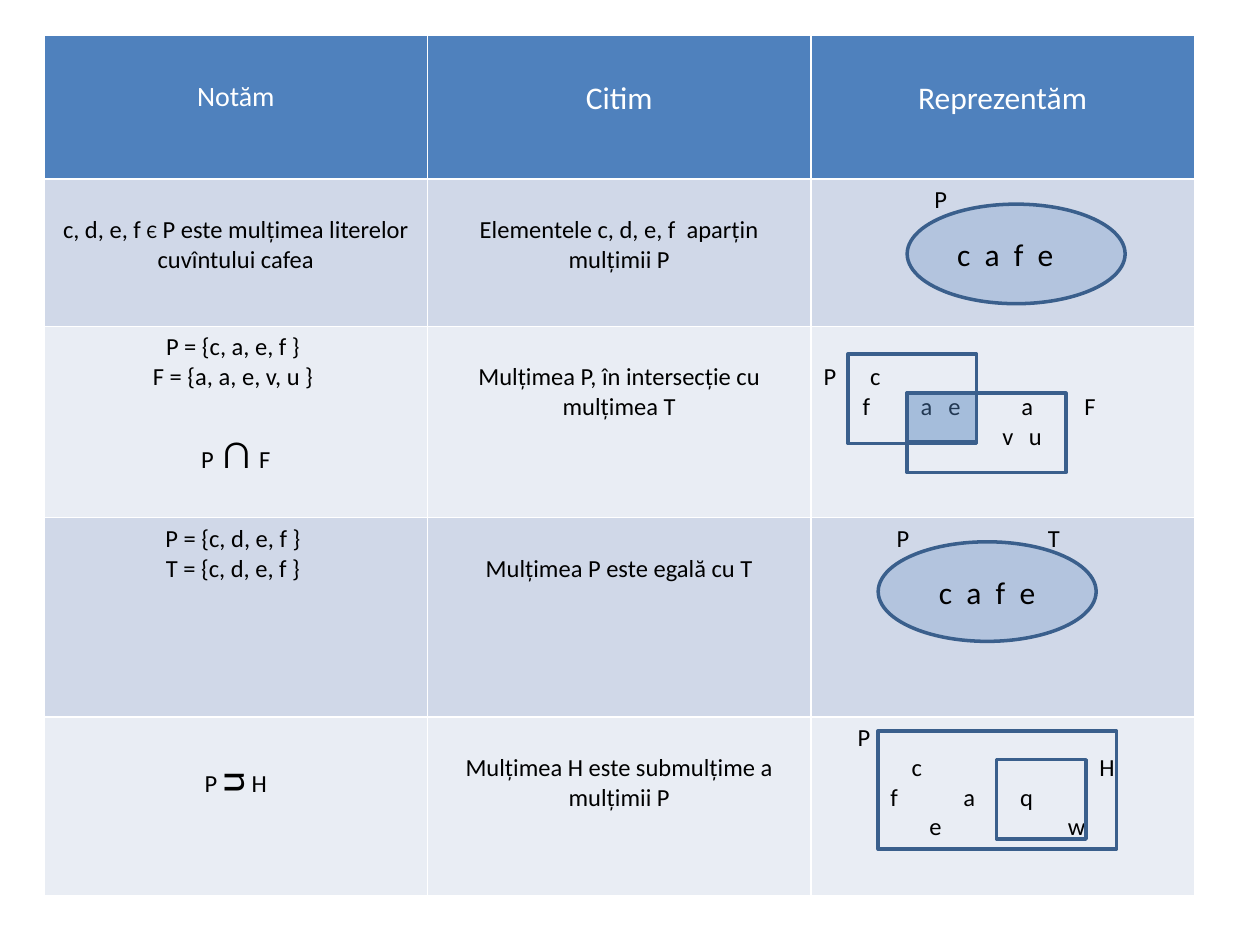
"""Build a slide with a table of set notation and small set diagrams."""
from dataclasses import dataclass
from itertools import groupby

from lxml.etree import SubElement as Sub
from pptx import Presentation
from pptx.dml.color import RGBColor as Rgb
from pptx.enum.shapes import MSO_SHAPE as Form
from pptx.enum.text import MSO_ANCHOR as Anchor, PP_ALIGN as Align
from pptx.oxml.ns import qn
from pptx.util import Inches, Pt


@dataclass
class Theme:
    """Colours, font and type sizes."""
    font: str = "Calibri"
    blue: str = "4F81BD"
    edge: str = "3A5F8C"
    white: str = "FFFFFF"
    black: str = "000000"
    bands: tuple = ("D0D8E8", "E9EDF4")
    body: int = 14
    small: int = 16
    large: int = 18
    line: float = 1.22


SIGNS = {"Є": 11, "∩": 28, "ᴝ": 24}


class Board:
    """Draws on one slide using a grid of 100 columns and 75 rows."""

    def __init__(self, deck, theme):
        """Add a blank slide."""
        self.theme = theme
        self.slide = deck.slides.add_slide(deck.slide_layouts[6])
        self.unit = deck.slide_width / 100

    def size(self, *cells):
        """Turn grid cells into lengths."""
        return [round(cell * self.unit) for cell in cells]

    def label(self, para, text, size, tint, align=Align.CENTER):
        """Fill a paragraph, giving each sign its own size."""
        para.alignment = align
        for points, part in groupby(text, lambda sign: SIGNS.get(sign, size)):
            run = para.add_run()
            run.text = "".join(part)
            font = run.font
            font.name, font.size, font.bold = self.theme.font, Pt(points), False
            font.color.rgb = Rgb.from_string(tint)

    def spread(self, para, marks):
        """Set letters at tab stops."""
        text = "".join(("\t" if stop else "") + mark for stop, mark in marks)
        self.label(para, text, self.theme.body, self.theme.black, Align.LEFT)
        stops = Sub(para._p.get_or_add_pPr(), qn("a:tabLst"))
        for stop in (stop for stop, _ in marks if stop):
            Sub(stops, qn("a:tab"), pos=str(self.size(stop)[0]), algn="l")

    def table(self, left, top, wide, highs):
        """Add a table with three equal columns."""
        area = self.size(left, top, 3 * wide, sum(highs))
        grid = self.slide.shapes.add_table(len(highs), 3, *area).table
        for col in grid.columns:
            col.width = self.size(wide)[0]
        for row, high in zip(grid.rows, highs):
            row.height = self.size(high)[0]
        return grid

    def cell(self, cell, fill, lines, lead=0, size=None, tint=None, gap=0):
        """Fill a cell with lines of text or of placed letters."""
        theme = self.theme
        cell.fill.solid()
        cell.fill.fore_color.rgb = Rgb.from_string(fill)
        step = theme.line * (theme.large if tint else theme.body)
        cell.margin_top = Inches(0.05) + Pt(lead * step)
        for spot, line in enumerate(lines):
            frame = cell.text_frame
            para = frame.add_paragraph() if spot else frame.paragraphs[0]
            if isinstance(line, str):
                self.label(para, line, size or theme.body, tint or theme.black)
            else:
                self.spread(para, line)
        if gap:
            para.space_before = Pt(gap * step)

    def shape(self, form, area, alpha=0, text="", shift=0):
        """Add an outlined shape, clear or tinted."""
        theme = self.theme
        shape = self.slide.shapes.add_shape(form, *self.size(*area))
        shape.shadow.inherit = False
        shape.line.color.rgb = Rgb.from_string(theme.edge)
        shape.line.width = Pt(2)
        if alpha:
            shape.fill.solid()
            shape.fill.fore_color.rgb = Rgb.from_string(theme.blue)
            tone = shape.fill._xPr.find(qn("a:solidFill")).find(qn("a:srgbClr"))
            Sub(tone, qn("a:alpha"), val=str(alpha * 1000))
        else:
            shape.fill.background()
        if text:
            frame = shape.text_frame
            frame.vertical_anchor = Anchor.MIDDLE
            frame.margin_right = Inches(0.1) + self.size(shift)[0]
            self.label(frame.paragraphs[0], text, theme.large, theme.black)


HEADS = ("Notăm", "Citim", "Reprezentăm")
ROWS = [
    (dict(lines=["c, d, e, f Є P este mulțimea literelor cuvîntului cafea"], lead=1),
     "Elementele c, d, e, f  aparțin mulțimii P",
     dict(lines=[[(8.8, "P")]])),
    (dict(lines=["P = {c, a, e, f } ", "F = {a, a, e, v, u } ", "P ∩ F"], gap=1),
     "Mulțimea P, în intersecție cu mulțimea T",
     dict(lead=1, lines=[
         [(0, "P"), (3.7, "c")],
         [(3.1, "f"), (7.7, "a"), (9.9, "e"), (15.7, "a"), (20.7, "F")],
         [(14.2, "v"), (16.3, "u")]])),
    (dict(lines=["P = {c, d, e, f } ", "T = {c, d, e, f } "]),
     "Mulțimea P este egală cu T",
     dict(lines=[[(5.8, "P"), (17.8, "T")]])),
    (dict(lines=["P ᴝ H"], lead=1),
     "Mulțimea H este submulțime a mulțimii P",
     dict(lines=[
         [(2.7, "P")],
         [(7, "c"), (21.9, "H")],
         [(5.3, "f"), (11.1, "a"), (15.6, "q")],
         [(8.4, "e"), (19.4, "w")]])),
]
SHAPES = [
    (Form.RECTANGLE, (67.3, 28.1, 10.2, 7.1)),
    (Form.RECTANGLE, (72, 31.2, 12.6, 6.3)),
    (Form.RECTANGLE, (72, 31.2, 5.5, 3.9), 44),
    (Form.OVAL, (72, 16.2, 17.3, 7.9), 22, "c  a  f  e", 1.7),
    (Form.OVAL, (69.7, 43, 17.3, 7.9), 22, "c  a  f  e"),
    (Form.RECTANGLE, (69.7, 58, 18.9, 9.4)),
    (Form.RECTANGLE, (79.1, 60.3, 7.1, 6.3)),
]

deck = Presentation()
deck.slide_width, deck.slide_height = Inches(10), Inches(7.5)
theme = Theme()
board = Board(deck, theme)
grid = board.table(3.5, 2.8, 30.43, (11.4, 11.7, 15.2, 15.8, 14.2))

for col, head in enumerate(HEADS):
    size = theme.large if col else theme.small
    board.cell(grid.cell(0, col), theme.blue, [head], 1, size, theme.white)
for row, (note, read, draw) in enumerate(ROWS):
    for col, part in enumerate((note, dict(lines=[read], lead=1), draw)):
        board.cell(grid.cell(row + 1, col), theme.bands[row % 2], **part)
for item in SHAPES:
    board.shape(*item)

deck.save("out.pptx")
